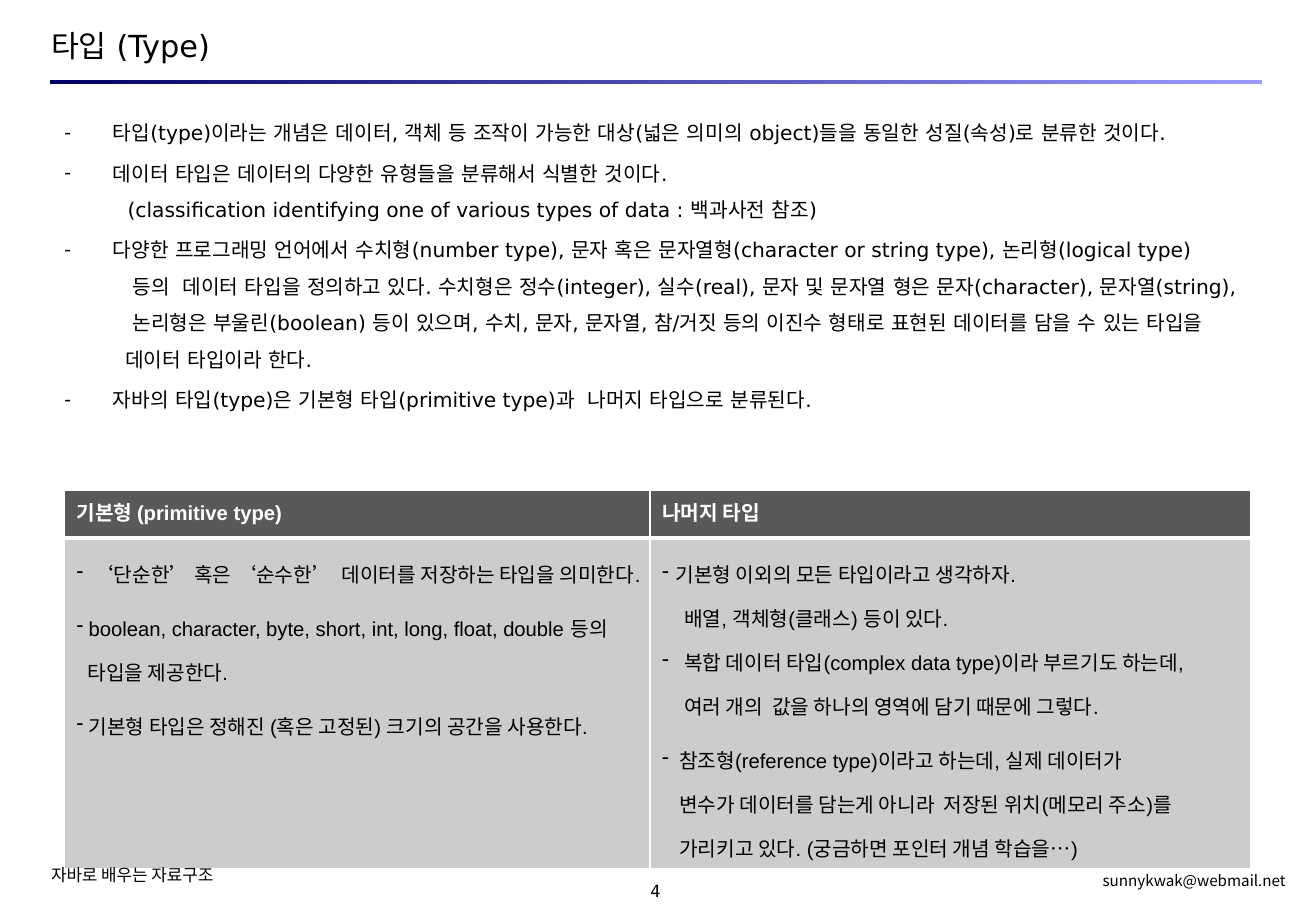
import pptx
import pptx.util
import pptx.dml.color
import pptx.enum.text
import pptx.enum.shapes
import pptx.oxml
import pptx.oxml.ns
import lxml.etree

Inches = pptx.util.Inches
Pt = pptx.util.Pt
PP_ALIGN = pptx.enum.text.PP_ALIGN
MSO_ANCHOR = pptx.enum.text.MSO_ANCHOR
qn = pptx.oxml.ns.qn

COLORS = {
    "ink": "000000",
    "white": "FFFFFF",
    "bar_start": "000066",
    "bar_end": "9999FF",
    "header": "595959",
    "cell": "CCCCCC",
}
SANS, MONO, KOREAN, ARIAL = "DejaVu Sans", "DejaVu Sans Mono", "Noto Sans CJK KR", "Arial"

TITLE = "타입 (Type)"

BODY = [
    (True, 0.51, 0.51, 2.4, "타입(type)이라는 개념은 데이터, 객체 등 조작이 가능한 대상(넓은 의미의 object)들을 동일한 성질(속성)로 분류한 것이다."),
    (True, 0.51, 0.51, 2.4, "데이터 타입은 데이터의 다양한 유형들을 분류해서 식별한 것이다."),
    (False, 0.63, 0.47, 0, "(classification identifying one of various types of data : 백과사전 참조)"),
    (True, 0.51, 0.51, 2.4, "다양한 프로그래밍 언어에서 수치형(number type), 문자 혹은 문자열형(character or string type), 논리형(logical type)"),
    (False, 0.67, 0.47, 0, "등의  데이터 타입을 정의하고 있다. 수치형은 정수(integer), 실수(real), 문자 및 문자열 형은 문자(character), 문자열(string),"),
    (False, 0.67, 0.47, 0, "논리형은 부울린(boolean) 등이 있으며, 수치, 문자, 문자열, 참/거짓 등의 이진수 형태로 표현된 데이터를 담을 수 있는 타입을"),
    (False, 0.61, 0.47, 0, "데이터 타입이라 한다."),
    (True, 0.51, 0.51, 2.4, "자바의 타입(type)은 기본형 타입(primitive type)과  나머지 타입으로 분류된다."),
]
HEADERS = ["기본형 (primitive type)", "나머지 타입"]
TYPES = [
    [
        (True, 0.14, 0.14, 6, "‘단순한’ 혹은 ‘순수한’  데이터를 저장하는 타입을 의미한다."),
        (True, 0.1, 0.1, 6, "boolean, character, byte, short, int, long, float, double 등의"),
        (False, 0.09, 0.09, 0, "타입을 제공한다."),
        (True, 0.1, 0.1, 6, "기본형 타입은 정해진 (혹은 고정된) 크기의 공간을 사용한다."),
    ],
    [
        (True, 0.11, 0.11, 6, "기본형 이외의 모든 타입이라고 생각하자."),
        (False, 0.18, 0.18, 0, "배열, 객체형(클래스) 등이 있다."),
        (True, 0.18, 0.18, 0, "복합 데이터 타입(complex data type)이라 부르기도 하는데,"),
        (False, 0.18, 0.18, 0, "여러 개의  값을 하나의 영역에 담기 때문에 그렇다."),
        (True, 0.14, 0.14, 6, "참조형(reference type)이라고 하는데, 실제 데이터가"),
        (False, 0.14, 0.14, 0, "변수가 데이터를 담는게 아니라  저장된 위치(메모리 주소)를"),
        (False, 0.14, 0.14, 0, "가리키고 있다. (궁금하면 포인터 개념 학습을…)"),
    ],
]
COLUMN_WIDTHS = [4.82, 4.94]
ROW_HEIGHTS = [0.39, 2.03]

FOOTERS = [
    ("4", (5.06, 7.25, 0.67, 0.17), 10, MONO, PP_ALIGN.CENTER, MSO_ANCHOR.MIDDLE, (0, 0)),
    ("자바로 배우는 자료구조", (0.4, 7.11, 3.09, 0.19), 10, KOREAN, PP_ALIGN.LEFT, MSO_ANCHOR.TOP, (0.02, 0.01)),
    ("sunnykwak@webmail.net", (7.23, 7.16, 3.37, 0.18), 9, KOREAN, PP_ALIGN.RIGHT, MSO_ANCHOR.TOP, (0.02, 0.01)),
]


def rgb(name):
    return pptx.dml.color.RGBColor.from_string(COLORS[name])


def place(part, box):
    part.left, part.top, part.width, part.height = map(Inches, box)


def set_frame(frame, anchor, insets=(0, 0)):
    frame.word_wrap = True
    frame.auto_size = pptx.enum.text.MSO_AUTO_SIZE.NONE
    frame.vertical_anchor = anchor
    frame.margin_left = frame.margin_right = Inches(insets[0])
    frame.margin_top = frame.margin_bottom = Inches(insets[1])


def write(paragraph, text, size, latin, korean, color="ink", bold=False, align=PP_ALIGN.LEFT):
    paragraph.text = text
    paragraph.alignment = align
    for run in paragraph.runs:
        run.font.size = Pt(size)
        run.font.bold = bold
        run.font.color.rgb = rgb(color)
        run.font.name = latin
        lxml.etree.SubElement(run.font._element, qn("a:ea")).set("typeface", korean)


def write_lines(frame, lines, latin, korean, bullet_left):
    for index, (bulleted, first, wrapped, before, text) in enumerate(lines):
        paragraph = frame.paragraphs[0] if index == 0 else frame.add_paragraph()
        write(paragraph, text, 12, latin, korean)
        paragraph.line_spacing = 1.5
        paragraph.space_before = Pt(before)
        properties = paragraph._p.get_or_add_pPr()
        start = bullet_left if bulleted else first
        properties.set("marL", str(Inches(wrapped)))
        properties.set("indent", str(Inches(start) - Inches(wrapped)))
        if bulleted:
            lxml.etree.SubElement(properties, qn("a:buChar")).set("char", "-")
        else:
            lxml.etree.SubElement(properties, qn("a:buNone"))


def style_cell(cell, fill, bottom):
    properties = cell._tc.get_or_add_tcPr()
    for side, width in (("L", 1), ("R", 1), ("T", 1), ("B", bottom)):
        border = lxml.etree.SubElement(properties, qn("a:ln" + side), w=str(Pt(width)))
        paint = lxml.etree.SubElement(border, qn("a:solidFill"))
        lxml.etree.SubElement(paint, qn("a:srgbClr"), val=COLORS["white"])
    cell.fill.solid()
    cell.fill.fore_color.rgb = rgb(fill)


def main():
    deck = pptx.Presentation()
    deck.slide_width, deck.slide_height = Inches(10.83), Inches(7.5)
    slide = deck.slides.add_slide(deck.slide_layouts[1])

    title, body = slide.placeholders
    place(title, (0.42, 0.22, 9.97, 0.3))
    set_frame(title.text_frame, MSO_ANCHOR.MIDDLE)
    write(title.text_frame.paragraphs[0], TITLE, 18, SANS, SANS)
    place(body, (0.42, 0.89, 9.97, 2.54))
    set_frame(body.text_frame, MSO_ANCHOR.TOP)
    write_lines(body.text_frame, BODY, SANS, SANS, 0.11)

    bar = slide.shapes.add_shape(
        pptx.enum.shapes.MSO_SHAPE.RECTANGLE, *map(Inches, (0.41, 0.66, 9.98, 0.03)))
    bar.shadow.inherit = False
    bar.line.fill.background()
    bar.fill.gradient()
    bar.fill.gradient_angle = 0
    for stop, position, color in zip(bar.fill.gradient_stops, (0, 1), ("bar_start", "bar_end")):
        stop.position = position
        stop.color.rgb = rgb(color)

    types = slide.shapes.add_table(
        2, 2, *map(Inches, (0.53, 4.04, sum(COLUMN_WIDTHS), sum(ROW_HEIGHTS)))).table
    for row, height in zip(types.rows, ROW_HEIGHTS):
        row.height = Inches(height)
    for index, width in enumerate(COLUMN_WIDTHS):
        types.columns[index].width = Inches(width)
        header, detail = types.cell(0, index), types.cell(1, index)
        style_cell(header, "header", 3)
        write(header.text_frame.paragraphs[0], HEADERS[index], 12, ARIAL, KOREAN, "white", True)
        style_cell(detail, "cell", 1)
        detail.margin_top = detail.margin_bottom = Inches(0.05)
        write_lines(detail.text_frame, TYPES[index], ARIAL, KOREAN, 0)

    for text, box, size, font, align, anchor, insets in FOOTERS:
        footer = slide.shapes.add_textbox(*map(Inches, box))
        set_frame(footer.text_frame, anchor, insets)
        write(footer.text_frame.paragraphs[0], text, size, font, font, align=align)

    deck.save("out.pptx")


if __name__ == "__main__":
    main()
